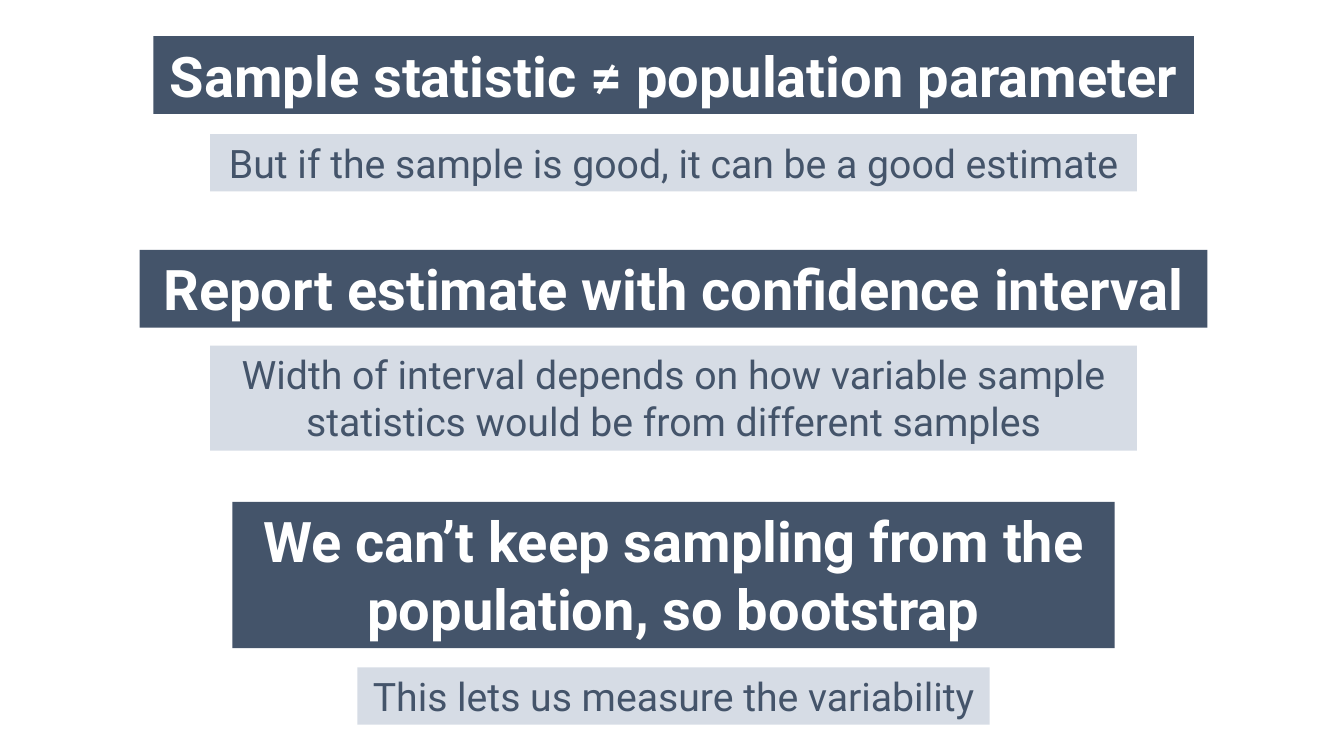
from dataclasses import dataclass

from pptx import Presentation
from pptx.dml.color import RGBColor
from pptx.enum.text import MSO_AUTO_SIZE, PP_ALIGN
from pptx.util import Inches, Pt


@dataclass(frozen=True)
class Theme:
    """Colours, type sizes and font of the slide."""
    font: str = "Roboto"
    navy: RGBColor = RGBColor(0x44, 0x54, 0x6A)
    pale: RGBColor = RGBColor(0xD6, 0xDC, 0xE5)
    white: RGBColor = RGBColor(0xFF, 0xFF, 0xFF)
    claim_size: int = 40
    detail_size: int = 28


THEME = Theme()
CENTER_X = 6.68


def add_banner(s, text, *, top, width, height, fill, color, size, bold=False):
    """Add a filled text box centred on the shared vertical axis."""
    sp = s.shapes.add_textbox(Inches(CENTER_X - width / 2), Inches(top),
                              Inches(width), Inches(height))
    sp.fill.solid()
    sp.fill.fore_color.rgb = fill
    tf = sp.text_frame
    tf.word_wrap = True
    tf.auto_size = MSO_AUTO_SIZE.SHAPE_TO_FIT_TEXT
    p = tf.paragraphs[0]
    p.alignment = PP_ALIGN.CENTER
    r = p.add_run()
    r.text = text
    r.font.name = THEME.font
    r.font.size = Pt(size)
    r.font.bold = bold
    r.font.color.rgb = color


def add_claim(s, text, **box):
    """Add a bold white statement on navy."""
    add_banner(s, text, fill=THEME.navy, color=THEME.white,
               size=THEME.claim_size, bold=True, **box)


def add_detail(s, text, **box):
    """Add a navy explanation on a pale band."""
    add_banner(s, text, fill=THEME.pale, color=THEME.navy,
               size=THEME.detail_size, **box)


def main():
    """Build the slide and save it."""
    prs = Presentation()
    prs.slide_width, prs.slide_height = Inches(13.33), Inches(7.5)
    s = prs.slides.add_slide(prs.slide_layouts[6])
    add_claim(s, "Sample statistic ≠ population parameter",
              top=0.36, width=10.32, height=0.77)
    add_detail(s, "But if the sample is good, it can be a good estimate",
               top=1.33, width=9.19, height=0.57)
    add_claim(s, "Report estimate with confidence interval",
              top=2.48, width=10.59, height=0.77)
    add_detail(s, "Width of interval depends on how variable sample "
                  "statistics would be from different samples",
               top=3.43, width=9.19, height=1.04)
    add_claim(s, "We can’t keep sampling from the population, so bootstrap",
              top=4.98, width=8.75, height=1.45)
    add_detail(s, "This lets us measure the variability",
               top=6.62, width=6.27, height=0.57)
    prs.save("out.pptx")


if __name__ == "__main__":
    main()
